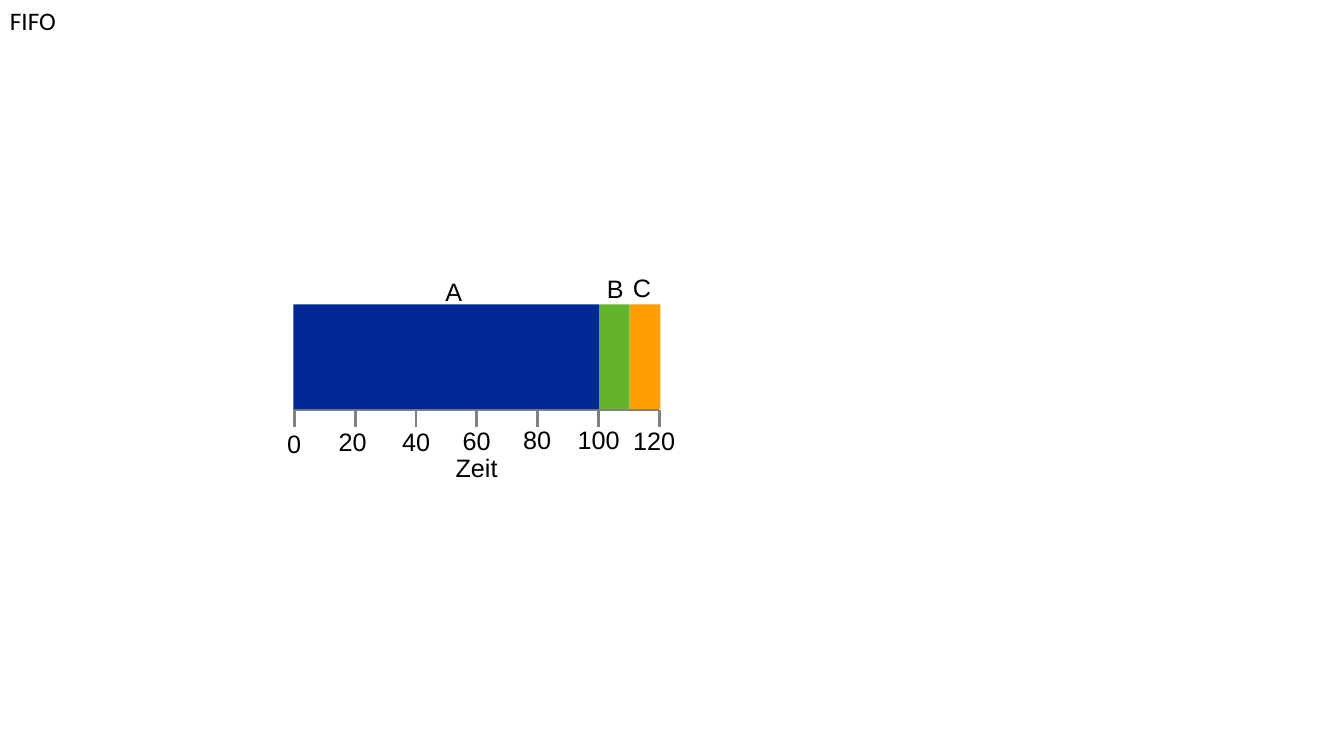
import pptx
import pptx.util
import pptx.dml.color
import pptx.enum.shapes
import pptx.enum.text
import pptx.oxml.ns
import lxml.etree

Inches = pptx.util.Inches
RGBColor = pptx.dml.color.RGBColor

BLACK = RGBColor(0x00, 0x00, 0x00)
GRAY = RGBColor(0x80, 0x80, 0x80)
BLUE = RGBColor(0x00, 0x28, 0x96)
GREEN = RGBColor(0x64, 0xB3, 0x2C)
ORANGE = RGBColor(0xFF, 0x9E, 0x00)

LABEL_HEIGHT = 0.4
JOBS = [("A", 100, BLUE, 1.41, -0.33), ("B", 10, GREEN, 3.01, -0.36),
        ("C", 10, ORANGE, 3.27, -0.37)]
TICK_LABELS = [("0", -0.16, 1.18, 0.34), ("20", 0.35, 1.16, 0.48),
               ("40", 0.98, 1.16, 0.48), ("60", 1.58, 1.15, 0.48),
               ("80", 2.18, 1.14, 0.48), ("100", 2.72, 1.14, 0.62),
               ("120", 3.27, 1.15, 0.62)]


def add_label(shapes, text, left, top, width, font="Arial", wrap=False):
    """Add a one-line label that grows with its text."""
    tf = shapes.add_textbox(Inches(left), Inches(top), Inches(width),
                            Inches(LABEL_HEIGHT)).text_frame
    tf.word_wrap = wrap
    tf.auto_size = pptx.enum.text.MSO_AUTO_SIZE.SHAPE_TO_FIT_TEXT
    r = tf.paragraphs[0].add_run()
    r.text = text
    for name, value in {"name": font, "size": pptx.util.Pt(18)}.items():
        setattr(r.font, name, value)
    r.font.color.rgb = BLACK


def add_line(shapes, x1, y1, x2, y2, weight):
    """Add a straight gray line without a shadow."""
    line = shapes.add_connector(pptx.enum.shapes.MSO_CONNECTOR.STRAIGHT,
                                Inches(x1), Inches(y1), Inches(x2), Inches(y2))
    line.line.color.rgb = GRAY
    line.line.width = pptx.util.Pt(weight)
    lxml.etree.SubElement(line._element.spPr, pptx.oxml.ns.qn("a:effectLst"))


def add_axis(shapes, left, top, width):
    """Draw the time axis with its ticks, numbers and title."""
    axis_y = top + 1.05
    add_line(shapes, left, axis_y, left + width, axis_y, 1.5)
    first = left + 0.01
    pitch = (width - 0.01) / (len(TICK_LABELS) - 1)
    for i in range(len(TICK_LABELS)):
        x = first + i * pitch
        add_line(shapes, x, axis_y + 0.17, x, axis_y, 2)
    for text, dx, dy, label_width in TICK_LABELS:
        add_label(shapes, text, left + dx, top + dy, label_width)
    add_label(shapes, "Zeit", left + 1.51, top + 1.42, 0.62)


def add_jobs(shapes, left, top, width, height):
    """Draw the jobs end to end, each as wide as its running time."""
    scale = width / sum(job[1] for job in JOBS)
    x = left
    for name, duration, color, dx, dy in JOBS:
        sp = shapes.add_shape(pptx.enum.shapes.MSO_SHAPE.RECTANGLE, Inches(x), Inches(top),
                              Inches(duration * scale), Inches(height))
        sp.shadow.inherit = False
        sp.fill.solid()
        sp.fill.fore_color.rgb = color
        sp.line.fill.background()
        x += duration * scale
    for name, duration, color, dx, dy in JOBS:
        add_label(shapes, name, left + dx, top + dy, 0.34, wrap=True)


def add_schedule(slide, left, top):
    """Build the grouped schedule from its axis and jobs."""
    shapes = slide.shapes.add_group_shape().shapes
    add_axis(shapes, left, top, 3.63)
    add_jobs(shapes, left, top, 3.64, 1.04)


def main():
    """Build and save the slide."""
    prs = pptx.Presentation()
    prs.slide_width = Inches(13.33)
    prs.slide_height = Inches(7.5)
    slide = prs.slides.add_slide(prs.slide_layouts[6])
    add_label(slide.shapes, "FIFO", 0, 0, 0.66, font="Calibri")
    add_schedule(slide, 2.91, 3.02)
    prs.save("out.pptx")


if __name__ == "__main__":
    main()
